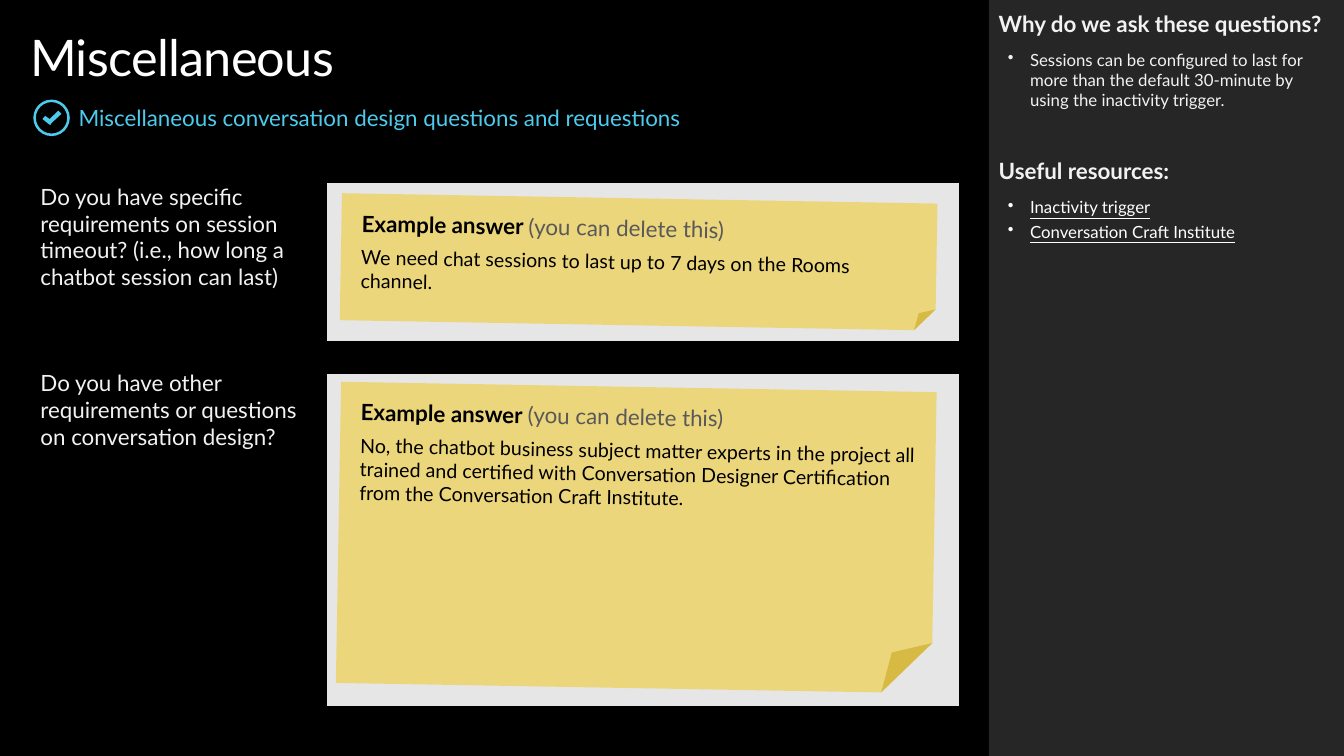
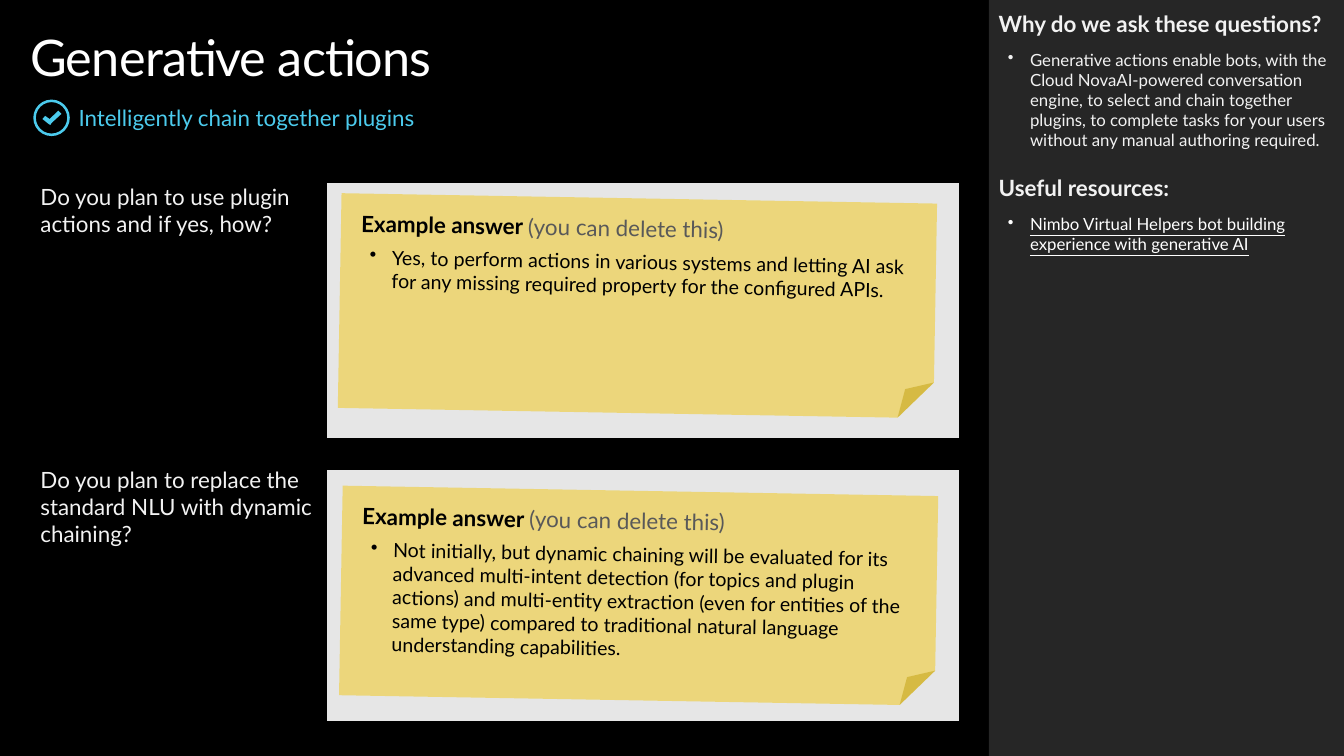
from dataclasses import dataclass

from lxml import etree
from pptx import Presentation
from pptx.dml.color import RGBColor
from pptx.enum.shapes import MSO_SHAPE
from pptx.enum.text import MSO_ANCHOR, PP_ALIGN
from pptx.oxml.ns import qn
from pptx.util import Cm, Pt

RECTANGLE = MSO_SHAPE.RECTANGLE
DONUT = MSO_SHAPE.DONUT
FOLDED_CORNER = MSO_SHAPE.FOLDED_CORNER
TOP, MIDDLE = MSO_ANCHOR.TOP, MSO_ANCHOR.MIDDLE
LEFT = PP_ALIGN.LEFT
PLAIN_TABLE_STYLE = "{2D5ABB26-0587-4C30-8999-92F81FD0307C}"


@dataclass(frozen=True)
class Theme:
    font: str = "Lato"
    background: str = "000000"
    panel: str = "262626"
    accent: str = "4CCBED"
    title: str = "FFFFFF"
    text: str = "F2F2F2"
    answer_area: str = "E6E6E6"
    note: str = "F2C811"
    note_text: str = "000000"
    note_hint: str = "595959"
    title_size: int = 36
    heading_size: int = 16
    answer_size: int = 14
    small_size: int = 12
    row_gap_size: int = 10


THEME = Theme()
TABLE_LEFT, TABLE_TOP = 1.02, 4.62
COLUMN_WIDTHS = (7.21, 15.93)
ROW_GAP = 0.64
PANEL_LEFT, PANEL_WIDTH = 24.92, 8.95
NOTE_WIDTH = 15.01
CHECK_POINTS = ((1.47, 2.79), (1.25, 3.0), (1.14, 2.92), (1.07, 3.0),
                (1.22, 3.12), (1.27, 3.15), (1.3, 3.1), (1.55, 2.87))


def color(value):
    return RGBColor.from_string(value)


class Deck:
    def __init__(self, theme):
        self.theme = theme
        self.presentation = Presentation()
        self.presentation.slide_width = Cm(33.87)
        self.presentation.slide_height = Cm(19.05)
        self.slide = None

    def new_slide(self, title, subtitle):
        theme = self.theme
        self.slide = self.presentation.slides.add_slide(
            self.presentation.slide_layouts[6])
        fill = self.slide.background.fill
        fill.solid()
        fill.fore_color.rgb = color(theme.background)
        self.shape(RECTANGLE, PANEL_LEFT, 0, PANEL_WIDTH, 19.05, theme.panel)
        self.check_icon()
        frame = self.text_box(0.76, 0.66, 23.39, 1.55)
        run = self.add_run(frame.paragraphs[0], title, theme.title_size, theme.title)
        run._r.get_or_add_rPr().set("spc", "-50")
        frame = self.text_box(1.98, 2.62, 22.17, 0.69, anchor=MIDDLE)
        self.add_run(frame.paragraphs[0], subtitle, theme.heading_size, theme.accent)

    def paint(self, shape, fill_color):
        shape.shadow.inherit = False
        shape.fill.solid()
        shape.fill.fore_color.rgb = color(fill_color)
        shape.line.fill.background()

    def shape(self, kind, left, top, width, height, fill_color):
        shape = self.slide.shapes.add_shape(
            kind, Cm(left), Cm(top), Cm(width), Cm(height))
        self.paint(shape, fill_color)
        return shape

    def check_icon(self):
        ring = self.shape(DONUT, 0.84, 2.51, 0.92, 0.92, self.theme.accent)
        ring.adjustments[0] = 0.07
        points = [(Cm(x), Cm(y)) for x, y in CHECK_POINTS]
        builder = self.slide.shapes.build_freeform(*points[0])
        builder.add_line_segments(points[1:], close=True)
        self.paint(builder.convert_to_shape(), self.theme.accent)

    def set_frame(self, frame, horizontal=0, vertical=0, anchor=TOP):
        frame.word_wrap = True
        frame.vertical_anchor = anchor
        frame.margin_left = frame.margin_right = Cm(horizontal)
        frame.margin_top = frame.margin_bottom = Cm(vertical)

    def text_box(self, left, top, width, height, margin=0, anchor=TOP):
        box = self.slide.shapes.add_textbox(
            Cm(left), Cm(top), Cm(width), Cm(height))
        self.set_frame(box.text_frame, margin, margin, anchor)
        return box.text_frame

    def add_run(self, paragraph, text, size, text_color, bold=False, underline=False):
        run = paragraph.add_run()
        run.text = text
        font = run.font
        font.name = self.theme.font
        font.size = Pt(size)
        font.color.rgb = color(text_color)
        font.bold = bold
        if underline:
            font.underline = True
        return run

    def add_bullet(self, paragraph):
        properties = paragraph._p.get_or_add_pPr()
        properties.set("marL", str(Cm(0.79)))
        properties.set("indent", str(Cm(-0.56)))
        etree.SubElement(properties, qn("a:buChar")).set("char", "•")

    def side_notes(self, reason, resources, gap):
        """Fill the side panel; gap is the space above the second heading in points."""
        theme = self.theme
        frame = self.text_box(PANEL_LEFT, 0, PANEL_WIDTH, 6.5, margin=0.25)
        sections = (("Why do we ask these questions?", [reason], theme.text, False),
                    ("Useful resources:", resources, theme.title, True))
        for index, (heading, items, item_color, underline) in enumerate(sections):
            paragraph = frame.add_paragraph() if index else frame.paragraphs[0]
            if index:
                paragraph.space_before = Pt(gap)
            paragraph.space_after = Pt(6)
            self.add_run(paragraph, heading, theme.heading_size, theme.text, bold=True)
            for item in items:
                paragraph = frame.add_paragraph()
                self.add_bullet(paragraph)
                paragraph.space_before = Pt(3)
                self.add_run(paragraph, item, theme.small_size, item_color,
                             underline=underline)

    def cell_border(self, cell, side):
        line = etree.SubElement(cell._tc.get_or_add_tcPr(), qn("a:" + side))
        line.set("w", str(Pt(6)))
        fill = etree.SubElement(line, qn("a:solidFill"))
        etree.SubElement(fill, qn("a:srgbClr")).set("val", self.theme.background)

    def question_table(self, questions, heights):
        theme = self.theme
        row_heights = (heights[0], ROW_GAP, heights[1])
        frame = self.slide.shapes.add_table(
            3, 2, Cm(TABLE_LEFT), Cm(TABLE_TOP),
            Cm(sum(COLUMN_WIDTHS)), Cm(sum(row_heights)))
        table = frame.table
        table.first_row = table.horz_banding = False
        table._tbl.tblPr.find(qn("a:tableStyleId")).text = PLAIN_TABLE_STYLE
        for column, width in zip(table.columns, COLUMN_WIDTHS):
            column.width = Cm(width)
        borders = (("lnB",), ("lnT", "lnB"), ("lnT",))
        fills = ((None, theme.answer_area),
                 (theme.background, theme.background),
                 (None, theme.answer_area))
        texts = (questions[0], None, questions[1])
        for row_index, row in enumerate(table.rows):
            row.height = Cm(row_heights[row_index])
            for cell, fill_color in zip(row.cells, fills[row_index]):
                cell.margin_left = cell.margin_top = cell.margin_bottom = 0
                cell.margin_right = Cm(0.25)
                for side in borders[row_index]:
                    self.cell_border(cell, side)
                if fill_color:
                    cell.fill.solid()
                    cell.fill.fore_color.rgb = color(fill_color)
                else:
                    cell.fill.background()
                ending = etree.SubElement(
                    cell.text_frame.paragraphs[0]._p, qn("a:endParaRPr"))
                ending.set("sz", str(theme.row_gap_size * 100))
            if texts[row_index]:
                paragraph = row.cells[0].text_frame.paragraphs[0]
                self.add_run(paragraph, texts[row_index], theme.heading_size, theme.text)

    def sticky_note(self, left, top, height, answer, bulleted):
        theme = self.theme
        note = self.shape(FOLDED_CORNER, left, top, NOTE_WIDTH, height, theme.note)
        note.rotation = 1
        fill_color = note._element.spPr.find(qn("a:solidFill"))[0]
        etree.SubElement(fill_color, qn("a:alpha")).set("val", "50000")
        frame = note.text_frame
        self.set_frame(frame, 0.51, 0.41)
        heading, body = frame.paragraphs[0], frame.add_paragraph()
        if bulleted:
            self.add_bullet(body)
        for paragraph in (heading, body):
            paragraph.alignment = LEFT
            paragraph.space_after = Pt(6)
        self.add_run(heading, "Example answer ", theme.heading_size,
                     theme.note_text, bold=True)
        self.add_run(heading, "(you can delete this)", theme.heading_size,
                     theme.note_hint)
        self.add_run(body, answer, theme.answer_size, theme.note_text)


def main():
    deck = Deck(THEME)

    deck.new_slide("Miscellaneous",
                   "Miscellaneous conversation design questions and requestions")
    deck.side_notes(
        "Sessions can be configured to last for more than the default 30-minute "
        "by using the inactivity trigger.",
        ["Inactivity trigger", "Conversation Craft Institute"], gap=34)
    deck.question_table(
        ("Do you have specific requirements on session timeout? "
         "(i.e., how long a chatbot session can last)",
         "Do you have other requirements or questions on conversation design?"),
        heights=(4.06, 8.48))
    deck.sticky_note(
        8.59, 5.0, 3.2,
        "We need chat sessions to last up to 7 days on the Rooms channel.",
        bulleted=False)
    deck.sticky_note(
        8.53, 9.75, 7.59,
        "No, the chatbot business subject matter experts in the project all trained "
        "and certified with Conversation Designer Certification from the "
        "Conversation Craft Institute.",
        bulleted=False)

    deck.new_slide("Generative actions", "Intelligently chain together plugins")
    deck.side_notes(
        "Generative actions enable bots, with the Cloud NovaAI-powered conversation "
        "engine, to select and chain together plugins, to complete tasks for your "
        "users without any manual authoring required.",
        ["Nimbo Virtual Helpers bot building experience with generative AI"],
        gap=17.4)
    deck.question_table(
        ("Do you plan to use plugin actions and if yes, how?",
         "Do you plan to replace the standard NLU with dynamic chaining?"),
        heights=(6.5, 6.4))
    deck.sticky_note(
        8.56, 5.0, 5.41,
        "Yes, to perform actions in various systems and letting AI ask for any "
        "missing required property for the configured APIs.",
        bulleted=True)
    deck.sticky_note(
        8.59, 12.37, 5.28,
        "Not initially, but dynamic chaining will be evaluated for its advanced "
        "multi-intent detection (for topics and plugin actions) and multi-entity "
        "extraction (even for entities of the same type) compared to traditional "
        "natural language understanding capabilities.",
        bulleted=True)

    deck.presentation.save("out.pptx")


if __name__ == "__main__":
    main()
